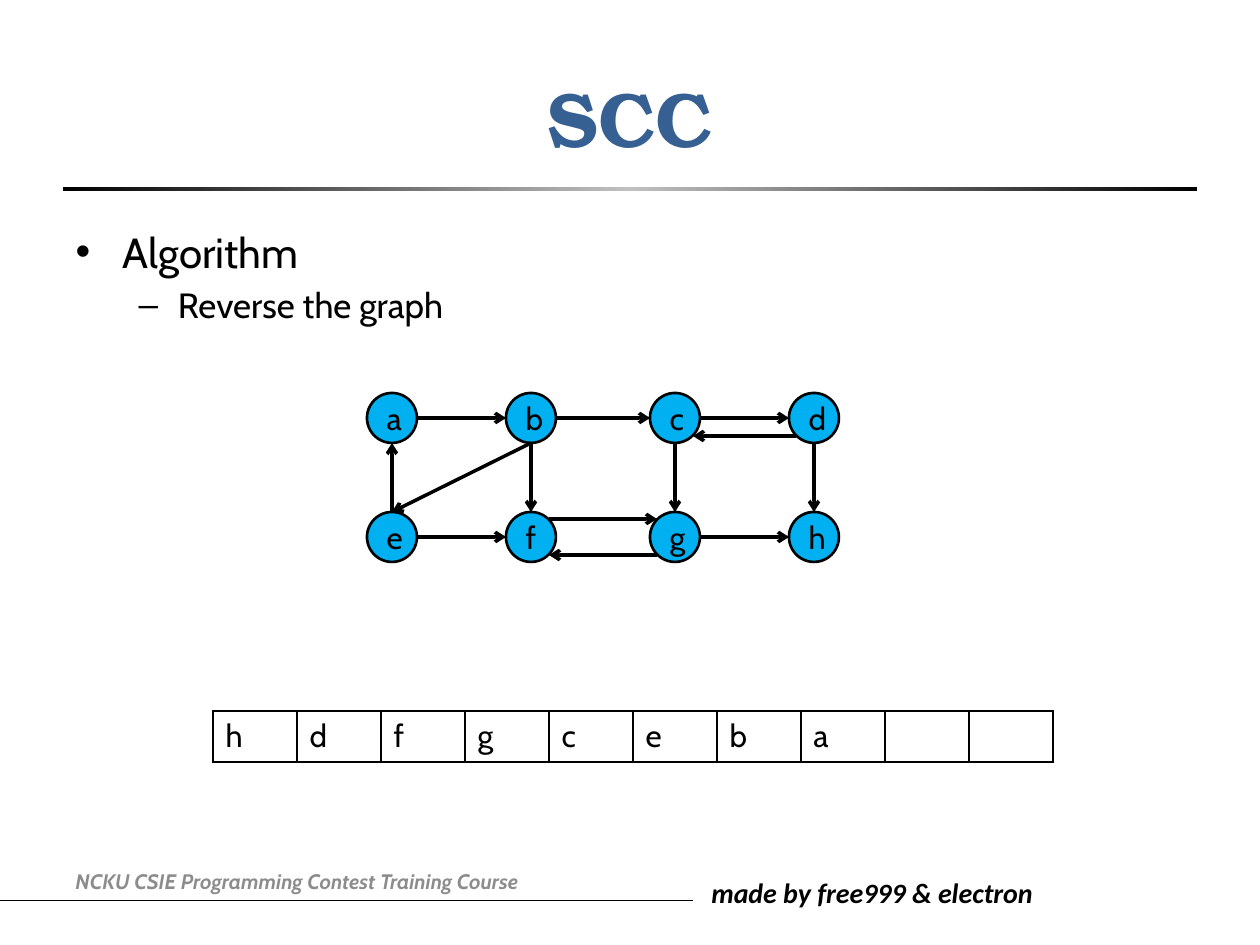
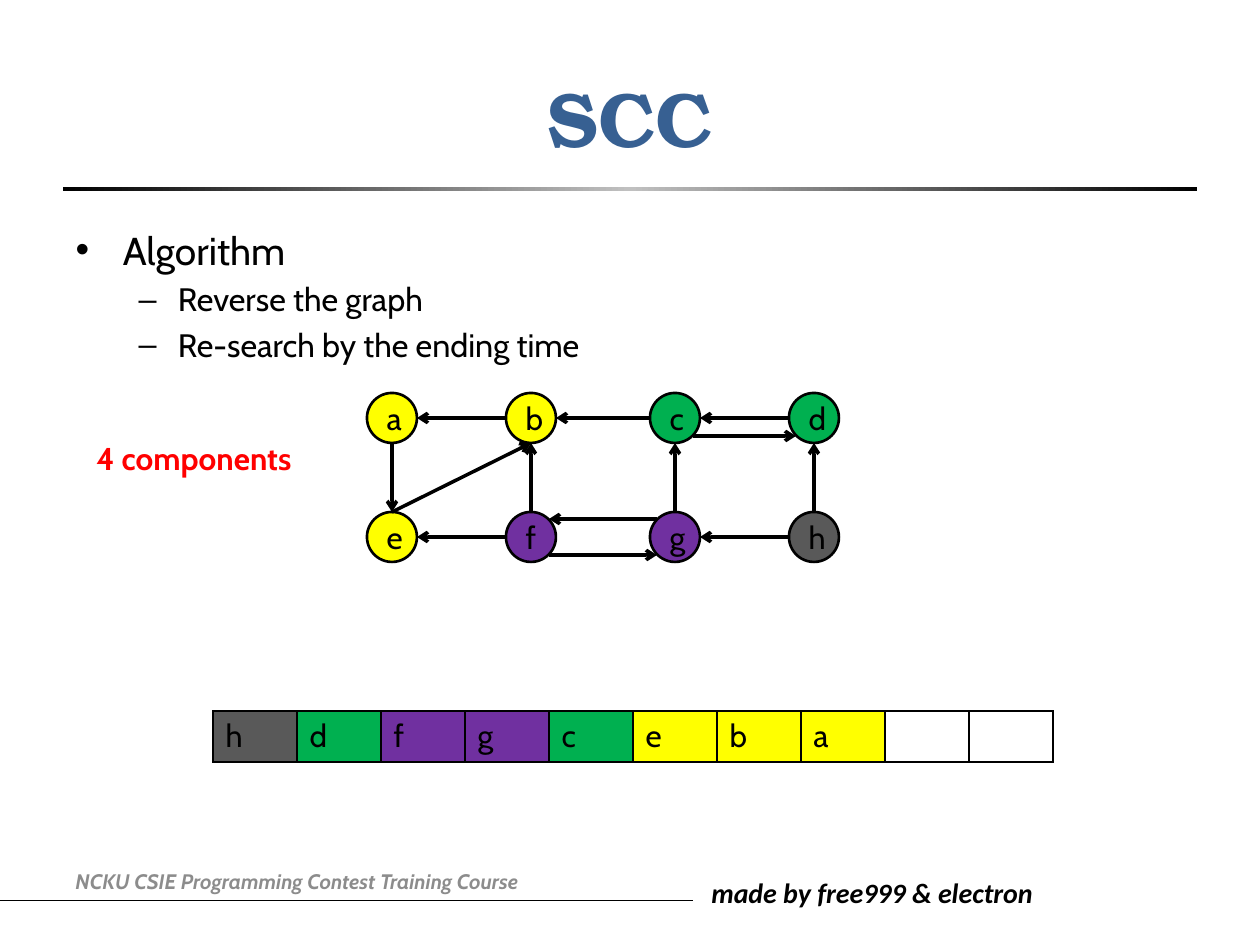
from copy import deepcopy
from dataclasses import dataclass

from lxml.etree import SubElement
from pptx import Presentation
from pptx.dml.color import RGBColor
from pptx.enum.shapes import MSO_CONNECTOR, MSO_SHAPE
from pptx.enum.text import MSO_ANCHOR, MSO_AUTO_SIZE, PP_ALIGN
from pptx.oxml.ns import qn
from pptx.util import Emu, Pt

PX_PER_INCH = 126


@dataclass(frozen=True)
class Theme:
    text_font: str = "Cabin"
    title_font: str = "TeX Gyre Bonum"
    credit_font: str = "Calibri"
    title_size: float = 44
    label_size: float = 18
    credit_size: float = 16
    footer_size: float = 12
    black: str = "000000"
    silver: str = "C0C0C0"
    navy: str = "376092"
    footer_gray: str = "8C8C8C"
    red: str = "FF0000"
    unvisited: str = "00B0F0"
    yellow: str = "FFFF00"
    green: str = "00B050"
    purple: str = "7030A0"
    dark_gray: str = "595959"


THEME = Theme()

COLUMN_CENTERS = (392, 531, 675, 814)
ROW_CENTERS = (418, 537)
NODES = {
    name: (x, y)
    for y, names in zip(ROW_CENTERS, ("abcd", "efgh"))
    for x, name in zip(COLUMN_CENTERS, names)
}
NODE_RADIUS = 25
DIAGONAL = 18  # horizontal and vertical reach of a point at 45 degrees

# Start, end, and lane: -1 above the centres, 0 level with them, 1 below.
EDGES = (
    ("a", "b", 0), ("b", "c", 0), ("c", "d", 0), ("d", "c", 1),
    ("e", "a", 0), ("b", "e", 0), ("b", "f", 0), ("c", "g", 0),
    ("d", "h", 0), ("e", "f", 0), ("f", "g", -1), ("g", "f", 1),
    ("g", "h", 0),
)
ENDING_ORDER = "hdfgceba"
TABLE_COLUMNS = 10
COMPONENTS = {"abe": THEME.yellow, "cd": THEME.green,
              "fg": THEME.purple, "h": THEME.dark_gray}


def px(length):
    return Emu(round(length * 914400 / PX_PER_INCH))


def color(value):
    return RGBColor.from_string(value)


def edge_anchor(node, other, lane):
    """Return the point on the rim of node where an edge to other is drawn."""
    x, y = NODES[node]
    other_x, other_y = NODES[other]
    if y != other_y:
        return x, y + (NODE_RADIUS if other_y > y else -NODE_RADIUS)
    reach = DIAGONAL if lane else NODE_RADIUS
    return x + (reach if other_x > x else -reach), y + lane * DIAGONAL


class Slides:
    """Holds the deck, its theme and the page being drawn."""

    def __init__(self, theme):
        self.theme = theme
        self.deck = Presentation()
        self.deck.slide_width, self.deck.slide_height = px(1260), px(945)
        self.page = None

    def start_page(self, title):
        theme = self.theme
        self.page = self.deck.slides.add_slide(self.deck.slide_layouts[1])
        self.line((0, 900), (693, 900), 0.5)
        self.text_box("made by free999 & electron", (699, 869, 413, 47),
                      theme.credit_size, theme.black, font=theme.credit_font,
                      italic=True)
        self.band((63, 187, 1134, 4))
        self.title(title)
        self.text_box("NCKU CSIE Programming Contest Training Course",
                      (63, 856, 636, 50), theme.footer_size,
                      theme.footer_gray, italic=True)

    def place(self, shape, area):
        shape.left, shape.top, shape.width, shape.height = map(px, area)

    def add_span(self, paragraph, text, size, text_color=None, font=None,
                 bold=False, italic=False):
        span = paragraph.add_run()
        span.text = text
        span.font.name = font or self.theme.text_font
        span.font.size = Pt(size)
        span.font.bold, span.font.italic = bold, italic
        span.font.color.rgb = color(text_color or self.theme.black)

    def title(self, text):
        box = self.page.shapes.title
        self.place(box, (63, 38, 1134, 157))
        box.text_frame.vertical_anchor = MSO_ANCHOR.MIDDLE
        paragraph = box.text_frame.paragraphs[0]
        paragraph.alignment = PP_ALIGN.CENTER
        self.add_span(paragraph, text, self.theme.title_size, self.theme.navy,
                      self.theme.title_font, bold=True)

    def bullets(self, heading, steps, heading_size, step_size):
        box = self.page.placeholders[1]
        self.place(box, (63, 220, 1134, 134))
        frame = box.text_frame
        frame.auto_size = MSO_AUTO_SIZE.NONE
        self.add_span(frame.paragraphs[0], heading, heading_size)
        for step in steps:
            paragraph = frame.add_paragraph()
            paragraph.level = 1
            self.add_span(paragraph, step, step_size)

    def text_box(self, text, area, size, text_color, font=None, italic=False):
        box = self.page.shapes.add_textbox(*map(px, area))
        box.text_frame.word_wrap = True
        box.text_frame.vertical_anchor = MSO_ANCHOR.MIDDLE
        self.add_span(box.text_frame.paragraphs[0], text, size, text_color,
                      font, bold=True, italic=italic)

    def band(self, area):
        """Draw a bar that fades from black to silver and back."""
        bar = self.page.shapes.add_shape(MSO_SHAPE.RECTANGLE, *map(px, area))
        bar.shadow.inherit = False
        bar.line.fill.background()
        bar.fill.gradient()
        bar.fill.gradient_angle = 0
        stop_list = bar._element.spPr.find(".//" + qn("a:gsLst"))
        stop_list.append(deepcopy(stop_list[0]))
        shades = (self.theme.black, self.theme.silver, self.theme.black)
        for index, (stop, shade) in enumerate(
                zip(bar.fill.gradient_stops, shades)):
            stop.position = index / 2
            stop.color.rgb = color(shade)

    def line(self, start, end, width, arrow=False):
        connector = self.page.shapes.add_connector(
            MSO_CONNECTOR.STRAIGHT, *map(px, (*start, *end)))
        connector.line.color.rgb = color(self.theme.black)
        connector.line.width = Pt(width)
        properties = connector._element.spPr
        if arrow:
            SubElement(properties.find(qn("a:ln")), qn("a:tailEnd"),
                       type="arrow")
        SubElement(properties, qn("a:effectLst"))

    def node(self, name, fill_color):
        x, y = NODES[name]
        area = (x - NODE_RADIUS, y - NODE_RADIUS,
                2 * NODE_RADIUS, 2 * NODE_RADIUS)
        circle = self.page.shapes.add_shape(MSO_SHAPE.OVAL, *map(px, area))
        circle.shadow.inherit = False
        circle.fill.solid()
        circle.fill.fore_color.rgb = color(fill_color)
        circle.line.color.rgb = color(self.theme.black)
        circle.line.width = Pt(1.5)
        paragraph = circle.text_frame.paragraphs[0]
        paragraph.alignment = PP_ALIGN.CENTER
        self.add_span(paragraph, name, self.theme.label_size)

    def graph(self, edges, node_colors):
        for name in NODES:
            self.node(name, node_colors.get(name, self.theme.unvisited))
        for start, end, lane in edges:
            self.line(edge_anchor(start, end, lane),
                      edge_anchor(end, start, lane), 2, arrow=True)

    def cell_borders(self, cell):
        properties = cell._tc.get_or_add_tcPr()
        for index, side in enumerate(("lnL", "lnR", "lnT", "lnB")):
            border = properties.makeelement(qn("a:" + side),
                                            {"w": str(int(Pt(1)))})
            fill = SubElement(border, qn("a:solidFill"))
            SubElement(fill, qn("a:srgbClr"), val=self.theme.black)
            properties.insert(index, border)

    def ending_table(self, cell_colors):
        """Draw the nodes in the order in which their search ended."""
        table = self.page.shapes.add_table(
            1, TABLE_COLUMNS, px(213), px(711), px(840), px(51)).table
        table.first_row = table.horz_banding = False
        for column in table.columns:
            column.width = px(84)
        for index in range(TABLE_COLUMNS):
            cell = table.cell(0, index)
            name = ENDING_ORDER[index:index + 1]
            if name in cell_colors:
                cell.fill.solid()
                cell.fill.fore_color.rgb = color(cell_colors[name])
            else:
                cell.fill.background()
            if name:
                self.add_span(cell.text_frame.paragraphs[0], name,
                              self.theme.label_size)
            self.cell_borders(cell)


def main():
    slides = Slides(THEME)

    slides.start_page("SCC")
    slides.bullets("Algorithm", ["Reverse the graph"], 24, 20)
    slides.graph(EDGES, {})
    slides.ending_table({})

    slides.start_page("SCC")
    slides.bullets("Algorithm",
                   ["Reverse the graph", "Re-search by the ending time"],
                   22.2, 18.5)
    reversed_edges = [(end, start, lane) for start, end, lane in EDGES]
    component_colors = {name: shade for names, shade in COMPONENTS.items()
                        for name in names}
    slides.graph(reversed_edges, component_colors)
    slides.ending_table(component_colors)
    slides.text_box("4 components", (84, 433, 248, 50), THEME.label_size,
                    THEME.red)

    slides.deck.save("out.pptx")


if __name__ == "__main__":
    main()
